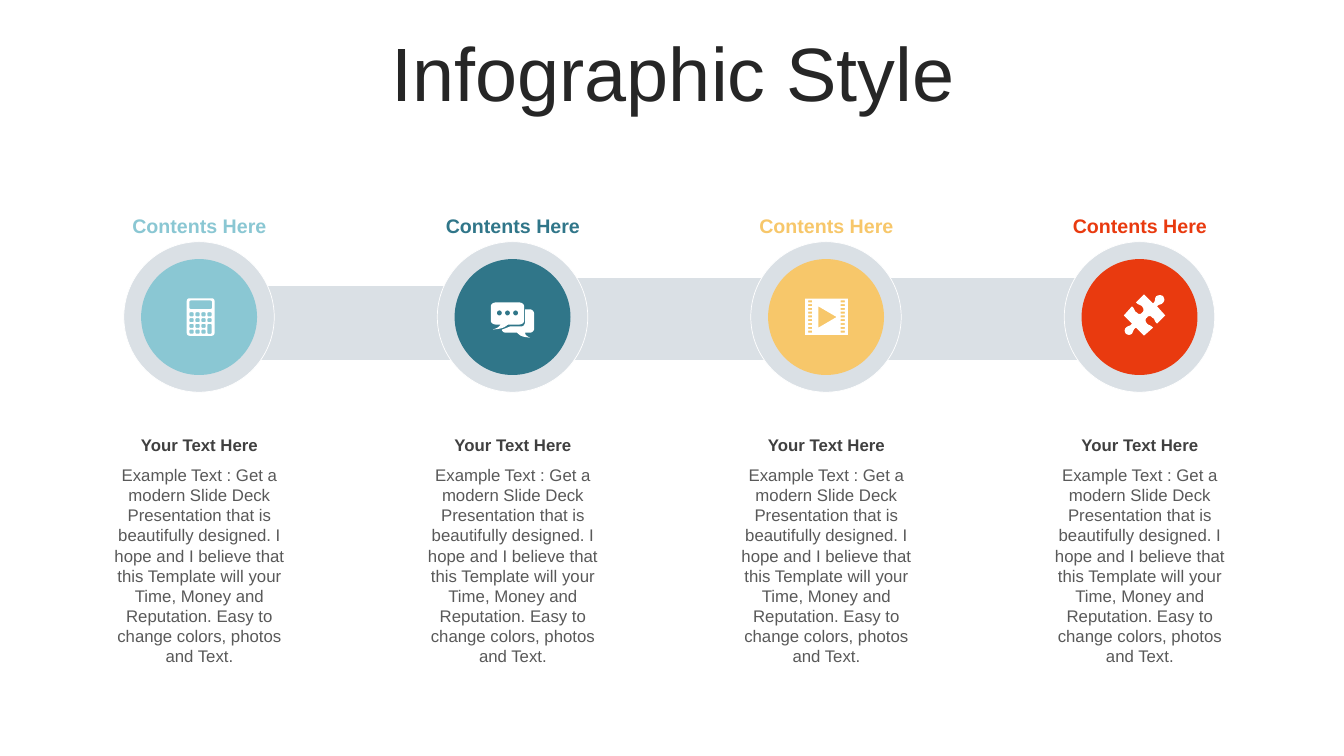
import math
from dataclasses import dataclass

from pptx import Presentation
from pptx import util as u
from pptx.dml.color import RGBColor
from pptx.enum import shapes, text

Point = tuple[float, float]
Contour = list[Point]

COLORS = {
    "title": "262626", "heading": "404040", "body": "595959",
    "track": "DAE0E5", "white": "FFFFFF",
    "sky": "8AC7D3", "teal": "307689", "amber": "F7C76A", "red": "E93A0F",
}
TITLE_FONT = {"name": "Arial", "size": u.Pt(54), "bold": False}
LABEL_FONT = {"name": "Arial", "size": u.Pt(14), "bold": True}
HEADING_FONT = {"name": "Arial", "size": u.Pt(12), "bold": True}
BODY_FONT = {"name": "Arial", "size": u.Pt(12), "bold": False}

BODY_TEXT = (
    "Example Text : Get a modern Slide Deck Presentation that is beautifully "
    "designed. I hope and I believe that this Template will your Time, Money "
    "and Reputation. Easy to change colors, photos and Text."
)
FIRST_CENTER, STEP_PITCH, CENTER_Y = 142.2, 223.92, 226.44
RING_SIZE, DISC_SIZE = 107.5, 82.8


@dataclass
class Box:
    left: float
    top: float
    width: float
    height: float

    def emu(self) -> list[int]:
        return [u.Pt(v) for v in (self.left, self.top, self.width, self.height)]


@dataclass
class Step:
    color: str
    icon: list[Contour]


@dataclass
class TextRow:
    top: float
    width: float
    height: float
    font: dict
    wording: str
    color: str = ""  # empty means the colour of the step


def curve(*parts: tuple) -> Contour:
    """Flatten an outline: pairs are line ends, sextets are cubic curves."""
    points: Contour = []
    for part in parts:
        if len(part) == 2:
            points.append(part)
            continue
        x0, y0 = points[-1]
        x1, y1, x2, y2, x3, y3 = part
        for i in range(1, 9):
            t = i / 8
            a, b, c, d = (1 - t) ** 3, 3 * t * (1 - t) ** 2, 3 * t * t * (1 - t), t ** 3
            points.append((a * x0 + b * x1 + c * x2 + d * x3,
                           a * y0 + b * y1 + c * y2 + d * y3))
    return points


def rounded(x: float, y: float, w: float, h: float, r: float = 0) -> Contour:
    corners = [(x + w - r, y + h - r), (x + r, y + h - r),
               (x + r, y + r), (x + w - r, y + r)]
    if not r:
        return corners
    return [(cx + r * math.cos(angle), cy + r * math.sin(angle))
            for quarter, (cx, cy) in enumerate(corners)
            for angle in (math.pi / 2 * (quarter + i / 4) for i in range(5))]


def calculator() -> list[Contour]:
    outlines = [rounded(-8.8, -13.4, 19.9, 26.8, 2), rounded(-6.9, -11.8, 16.2, 6.1, 1)]
    for row in range(4):
        for column in range(4):
            if (row, column) == (3, 3):
                continue
            height = 7.1 if (row, column) == (2, 3) else 2.9
            outlines.append(rounded(-6.8 + 4.28 * column, -3.4 + 4.15 * row, 2.9, height, 0.6))
    return outlines


def chat() -> list[Contour]:
    rear = curve(
        (9, -5.4), (12.6, -5.4), (14, -5.4, 15.5, -4, 15.5, -1.8), (15.5, 8.3),
        (15.5, 9.7, 14, 11.2, 12.6, 11.2), (9, 11.2), (9, 11.9, 9, 13.3, 12.6, 14.8),
        (6.8, 14, 6.1, 14, 3.2, 11.2), (-4.7, 11.2), (-6.1, 11.2, -7.6, 10.4, -7.6, 9),
        (-5.4, 8.3, -4, 7.6, -1.8, 6.8), (6.1, 6.8), (7.6, 6.8, 9, 5.4, 9, 3.2))
    front = curve(
        (-11.9, -10.4), (4.7, -10.4), (6.8, -10.4, 8.3, -9, 8.3, -7.6), (8.3, 2.5),
        (8.3, 4, 6.8, 5.4, 4.7, 5.4), (-3.2, 5.4), (-6.8, 8.3, -8.3, 8.3, -14, 9),
        (-10.4, 7.6, -10.4, 7.6, -8.3, 5.4), (-11.9, 5.4),
        (-14, 5.4, -15.5, 4, -15.5, 2.5), (-15.5, -7.6),
        (-15.5, -9, -14, -10.4, -11.9, -10.4))
    return [rear, front] + [rounded(-11.2 + 5.8 * i, -4.7, 3.6, 3.6, 1.8) for i in range(3)]


def film() -> list[Contour]:
    holes = [rounded(x, -11.9 + 2.7 * row, 2.9, 1.4) for x in (-12.8, 10.5) for row in range(9)]
    return [rounded(-15, -13.2, 30.6, 26), [(-5.4, -7.6), (-5.4, 7.6), (7.6, 0)]] + holes


def puzzle() -> list[Contour]:
    return [curve(
        (16.9, -14.8), (17.6, -13.3, 18.4, -11.9, 16.9, -10.4),
        (15.5, -8.3, 14, -9.7, 12.6, -7.6), (18.4, -1.1), (12.6, 4.7),
        (10.4, 3.2, 11.2, 1.1, 9, 0.4), (8.3, -1.1, 6.1, -1.1, 5.4, 0.4),
        (4, 1.1, 4, 3.2, 5.4, 4.7), (6.8, 6.1, 7.6, 5.4, 9.7, 7.6), (3.2, 13.3),
        (-2.5, 7.6), (-4.7, 9, -4, 9.7, -5.4, 11.9), (-6.8, 13.3, -9, 12.6, -9.7, 11.9),
        (-10.4, 11.2, -11.2, 9, -9.7, 7.6), (-8.3, 6.1, -6.8, 6.8, -5.4, 4.7),
        (-11.2, -1.1), (-5.4, -7.6), (-3.2, -6.1, -4, -4, -1.8, -3.2),
        (-1.1, -1.8, 1.1, -1.8, 1.8, -3.2), (3.2, -4, 3.2, -6.1, 1.8, -7.6),
        (0.4, -9, -0.4, -8.3, -2.5, -10.4), (3.2, -16.2), (9.7, -9.7),
        (11.9, -11.9, 10.4, -12.6, 11.9, -14.8), (14, -16.2, 16.2, -15.5, 16.9, -14.8))]


def paint(shape, fill: str, outlined: bool = False) -> None:
    shape.shadow.inherit = False
    shape.fill.solid()
    shape.fill.fore_color.rgb = RGBColor.from_string(COLORS[fill])
    if outlined:
        shape.line.color.rgb = RGBColor.from_string(COLORS["white"])
        shape.line.width = u.Pt(0.5)
    else:
        shape.line.fill.background()


def draw_circle(slide, center_x: float, size: float, fill: str, outlined: bool = False) -> None:
    box = Box(center_x - size / 2, CENTER_Y - size / 2, size, size)
    paint(slide.shapes.add_shape(shapes.MSO_SHAPE.OVAL, *box.emu()), fill, outlined)


def draw_icon(slide, center_x: float, icon: list[Contour]) -> None:
    """Draw all outlines as one shape, so that inner outlines become holes."""
    scaled = [[(100 * x, 100 * y) for x, y in contour] for contour in icon]
    builder = slide.shapes.build_freeform(*scaled[0][0], scale=u.Pt(1) / 100)
    for i, contour in enumerate(scaled):
        if i:
            builder.move_to(*contour[0])
        builder.add_line_segments(contour[1:], close=True)
    paint(builder.convert_to_shape(u.Pt(center_x), u.Pt(CENTER_Y)), "white")


def write(frame, wording: str, font: dict, color: str) -> None:
    frame.word_wrap = True
    paragraph = frame.paragraphs[0]
    paragraph.text = wording
    paragraph.alignment = text.PP_ALIGN.CENTER
    for attribute, value in font.items():
        setattr(paragraph.font, attribute, value)
    paragraph.font.color.rgb = RGBColor.from_string(COLORS[color])


def main() -> None:
    deck = Presentation()
    deck.slide_width, deck.slide_height = u.Pt(960), u.Pt(540)
    slide = deck.slides.add_slide(deck.slide_layouts[5])

    title = slide.shapes.title
    title.left, title.top, title.width, title.height = Box(25.2, 26.64, 911.5, 56.9).emu()
    write(title.text_frame, "Infographic Style", TITLE_FONT, "title")
    title.text_frame.auto_size = text.MSO_AUTO_SIZE.NONE
    title.text_frame.vertical_anchor = text.MSO_ANCHOR.MIDDLE
    title.text_frame.paragraphs[0].line_spacing = 0.9

    for track in (Box(366.5, 198, 195, 59.6), Box(553, 198, 262, 59.6),
                  Box(142.5, 203.8, 239.8, 53.5)):
        bar = slide.shapes.add_shape(shapes.MSO_SHAPE.RECTANGLE, *track.emu())
        paint(bar, "track", outlined=True)

    steps = [Step("sky", calculator()), Step("teal", chat()),
             Step("amber", film()), Step("red", puzzle())]
    rows = [TextRow(149, 162.7, 24.5, LABEL_FONT, "Contents Here"),
            TextRow(306.7, 153.4, 21.6, HEADING_FONT, "Your Text Here", "heading"),
            TextRow(328.3, 153.4, 152.6, BODY_FONT, BODY_TEXT, "body")]
    for i, step in enumerate(steps):
        center_x = FIRST_CENTER + STEP_PITCH * i
        draw_circle(slide, center_x, RING_SIZE, "track", outlined=True)
        draw_circle(slide, center_x, DISC_SIZE, step.color)
        draw_icon(slide, center_x, step.icon)
        for row in rows:
            box = Box(center_x - row.width / 2 + 0.3, row.top, row.width, row.height)
            frame = slide.shapes.add_textbox(*box.emu()).text_frame
            write(frame, row.wording, row.font, row.color or step.color)

    deck.save("out.pptx")


if __name__ == "__main__":
    main()
